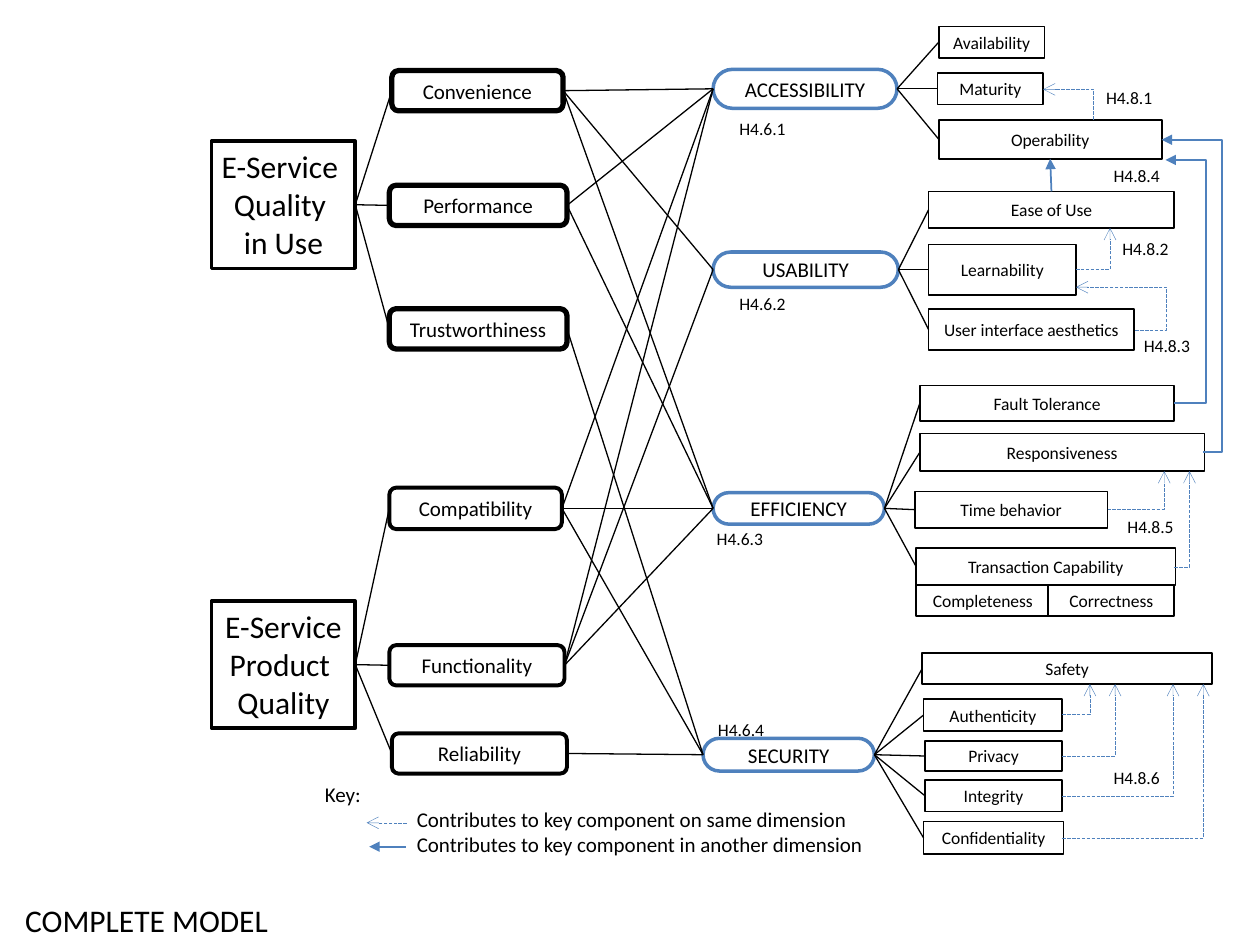
from lxml import etree
from pptx import Presentation, util as u
from pptx.dml.color import RGBColor
from pptx.enum import dml, shapes, text
from pptx.oxml.ns import qn

HUES = {"ink": "000000", "blue": "4F81BD", "paper": "FFFFFF"}
KIND = shapes.MSO_SHAPE
WIRE = shapes.MSO_CONNECTOR
TOP, LEFT, BASE, RIGHT = range(4)

GOALS = {
    "E-Service \nQuality \nin Use": (1.68, 1.12, 1.14, 1.01),
    "E-Service\nProduct \nQuality": (1.68, 4.77, 1.14, 1.01),
}
TRAITS = {
    "Convenience": (3.11, 0.56, 1.36, 0.32, 3),
    "Performance": (3.09, 1.47, 1.41, 0.32, 3),
    "Trustworthiness": (3.09, 2.45, 1.41, 0.32, 3),
    "Compatibility": (3.09, 3.87, 1.37, 0.33, 2.25),
    "Functionality": (3.09, 5.12, 1.39, 0.32, 2.25),
    "Reliability": (3.11, 5.82, 1.39, 0.32, 2.25),
}
AREAS = {
    "ACCESSIBILITY": (5.66, 0.55, 1.46, 0.31),
    "USABILITY": (5.66, 2, 1.47, 0.28),
    "EFFICIENCY": (5.66, 3.91, 1.36, 0.25),
    "SECURITY": (5.58, 5.86, 1.36, 0.26),
}
PARTS = {
    "ACCESSIBILITY": {
        "Availability": (7.45, 0.21, 0.84, 0.25),
        "Maturity": (7.44, 0.58, 0.84, 0.25),
        "Operability": (7.45, 0.95, 1.77, 0.31),
    },
    "USABILITY": {
        "Ease of Use": (7.37, 1.52, 1.95, 0.29),
        "Learnability": (7.37, 1.94, 1.17, 0.4),
        "User interface aesthetics": (7.37, 2.45, 1.63, 0.33),
    },
    "EFFICIENCY": {
        "Fault Tolerance": (7.3, 3.06, 2.02, 0.28),
        "Responsiveness": (7.3, 3.44, 2.26, 0.3),
        "Time behavior": (7.26, 3.9, 1.53, 0.29),
        "Transaction Capability": (7.27, 4.35, 2.06, 0.29),
    },
    "SECURITY": {
        "Safety": (7.32, 5.18, 2.3, 0.25),
        "Authenticity": (7.33, 5.55, 1.1, 0.25),
        "Privacy": (7.34, 5.88, 1.09, 0.24),
        "Integrity": (7.34, 6.19, 1.09, 0.25),
        "Confidentiality": (7.33, 6.52, 1.11, 0.26),
    },
}
HALVES = {
    "Completeness": (7.27, 4.64, 1.06, 0.25),
    "Correctness": (8.32, 4.64, 1, 0.25),
}
FEEDS = {
    "Convenience": ["ACCESSIBILITY", "USABILITY", "EFFICIENCY"],
    "Performance": ["ACCESSIBILITY", "EFFICIENCY"],
    "Trustworthiness": ["SECURITY"],
    "Compatibility": ["ACCESSIBILITY", "EFFICIENCY", "SECURITY"],
    "Functionality": ["ACCESSIBILITY", "USABILITY", "EFFICIENCY"],
    "Reliability": ["SECURITY"],
}
CORNERS = [
    (8.54, 2.14, 8.81, 1.81), (8.79, 4.04, 9.24, 3.74),
    (9.32, 4.5, 9.44, 3.74), (8.43, 5.67, 8.65, 5.43),
    (8.43, 6, 8.85, 5.43), (8.43, 6.32, 9.31, 5.43),
    (8.43, 6.65, 9.55, 5.43),
]
LOOPS = [
    (8.68, 0.95, 8.28, 0.71, 8.68, "arrow"),
    (9.01, 2.62, 8.54, 2.28, 9.26, "arrow"),
    (9.55, 3.59, 9.22, 1.11, 9.7, "triangle"),
    (9.32, 3.2, 9.25, 1.27, 9.57, "triangle"),
]
NOTES = {
    "H4.6.1": (5.77, 0.89), "H4.6.2": (5.77, 2.28),
    "H4.6.3": (5.59, 4.14), "H4.6.4": (5.6, 5.66),
    "H4.8.1": (8.68, 0.64), "H4.8.2": (8.81, 1.84),
    "H4.8.3": (8.98, 2.61), "H4.8.4": (8.74, 1.26),
    "H4.8.5": (8.85, 4.05), "H4.8.6": (8.74, 6.04),
}


class Chart:
    """Holds the style and the current slide."""

    def __init__(self, deck):
        self.font = "Calibri"
        self.slide = deck.slides.add_slide(deck.slide_layouts[5])
        self.items = self.slide.shapes

    def hue(self, name):
        return RGBColor.from_string(HUES[name])

    def label(self, shape, words, size, align, anchor, wrap):
        frame = shape.text_frame
        frame.text = words
        frame.word_wrap = wrap
        frame.vertical_anchor = anchor
        for para in frame.paragraphs:
            para.alignment = align
            for run in para.runs:
                run.font.name = self.font
                run.font.size = u.Pt(size)
                run.font.color.rgb = self.hue("ink")

    def title(self, words, *area):
        head = self.items.title
        head.left, head.top, head.width, head.height = map(u.Inches, area)
        self.label(head, words, 18, text.PP_ALIGN.LEFT, text.MSO_ANCHOR.TOP, False)

    def note(self, words, area, size, wrap=False):
        shape = self.items.add_textbox(*map(u.Inches, area))
        self.label(shape, words, size, text.PP_ALIGN.LEFT, text.MSO_ANCHOR.TOP, wrap)

    def box(self, words, area, size, width, hue="ink", curve=None):
        kind = KIND.RECTANGLE if curve is None else KIND.ROUNDED_RECTANGLE
        shape = self.items.add_shape(kind, *map(u.Inches, area))
        if curve is not None:
            shape.adjustments[0] = curve
        shape.shadow.inherit = False
        shape.fill.solid()
        shape.fill.fore_color.rgb = self.hue("paper")
        shape.line.color.rgb = self.hue(hue)
        shape.line.width = u.Pt(width)
        anchor = text.MSO_ANCHOR.TOP if curve is None else text.MSO_ANCHOR.MIDDLE
        self.label(shape, words, size, text.PP_ALIGN.CENTER, anchor, curve is not None)
        return shape

    def wire(self, ends, tip=None, kind=WIRE.STRAIGHT):
        line = self.items.add_connector(kind, *map(u.Inches, ends))
        line.line.color.rgb = self.hue("blue" if tip else "ink")
        line.line.width = u.Pt({None: 0.75, "arrow": 0.25, "triangle": 1}[tip])
        if tip == "arrow":
            line.line.dash_style = dml.MSO_LINE.LONG_DASH
        props = line._element.spPr
        if tip:
            etree.SubElement(props.find(qn("a:ln")), qn("a:tailEnd"), type=tip)
        etree.SubElement(props, qn("a:effectLst"))
        return line

    def link(self, start, out, end, into, tip=None):
        line = self.wire((0, 0, 0, 0), tip)
        line.begin_connect(start, out)
        line.end_connect(end, into)

    def bend(self, ends, tip, via=None):
        line = self.wire(ends, tip, WIRE.ELBOW)
        geom = line._element.spPr.find(qn("a:prstGeom"))
        if via is None:
            geom.set("prst", "bentConnector2")
        else:
            ratio = round((via - ends[0]) / (ends[2] - ends[0]) * 100000)
            guides = geom.get_or_add_avLst()
            etree.SubElement(guides, qn("a:gd"), name="adj1", fmla=f"val {ratio}")


def main():
    deck = Presentation()
    deck.slide_width, deck.slide_height = u.Inches(10), u.Inches(7.5)
    chart = Chart(deck)
    chart.title("COMPLETE MODEL", 0.1, 7.1, 2.15, 0.4)

    goals = [chart.box(name, area, 18, 2) for name, area in GOALS.items()]
    nodes = {}
    for name, (*area, width) in TRAITS.items():
        nodes[name] = chart.box(name, area, 12, width, curve=0.17)
    for name, area in AREAS.items():
        nodes[name] = chart.box(name, area, 12, 2, "blue", 0.5)
    for group in [*PARTS.values(), HALVES]:
        for name, area in group.items():
            nodes[name] = chart.box(name, area, 10, 1, curve=0)

    for pos, name in enumerate(TRAITS):
        chart.link(goals[pos // 3], RIGHT, nodes[name], LEFT)
    for tree in (FEEDS, PARTS):
        for start, ends in tree.items():
            for end in ends:
                chart.link(nodes[start], RIGHT, nodes[end], LEFT)
    chart.link(nodes["Ease of Use"], TOP, nodes["Operability"], BASE, "triangle")

    for ends in CORNERS:
        chart.bend(ends, "arrow")
    for *ends, via, tip in LOOPS:
        chart.bend(ends, tip, via)

    for name, spot in NOTES.items():
        chart.note(name, (*spot, 0.57, 0.27), 10)
    chart.note("Key:", (2.48, 6.15, 0.49, 0.3), 12)
    chart.note("Contributes to key component on same dimension\n"
               "Contributes to key component in another dimension",
               (3.21, 6.35, 3.87, 0.5), 12, True)
    chart.wire((3.23, 6.53, 2.91, 6.53), "arrow")
    chart.wire((3.22, 6.72, 2.93, 6.72), "triangle")
    deck.save("out.pptx")


if __name__ == "__main__":
    main()
